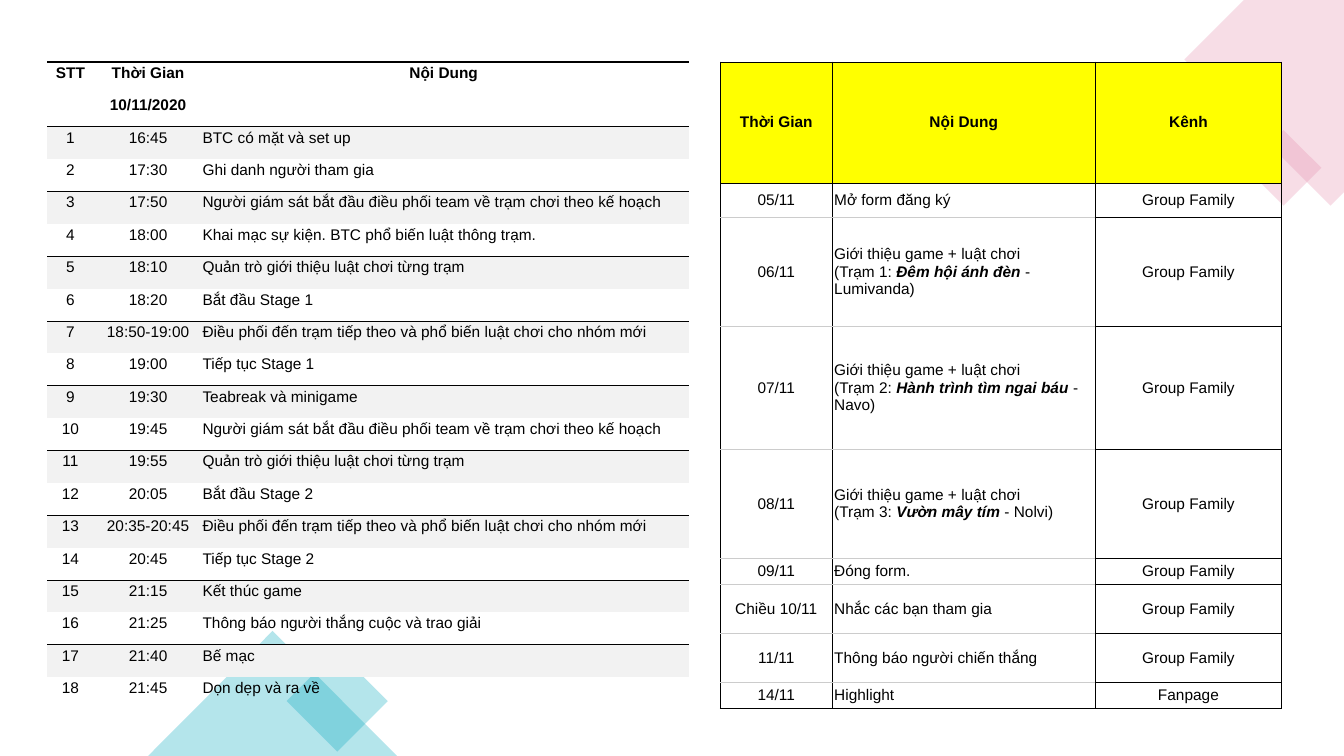
"""Build a slide with an event-day schedule beside a communication plan."""
from dataclasses import dataclass

from pptx import Presentation
from pptx.dml.color import RGBColor as Rgb
from pptx.enum import shapes, text
from pptx.oxml import ns, xmlchemy as xc
from pptx.util import Pt


@dataclass
class Theme:
    font: str = "Arial"
    size: float = 11
    ink: str = "000000"
    rule: str = "CCCCCC"
    band: str = "F2F2F2"
    head: str = "FFFF00"
    pink: str = "E58FAE"
    teal: str = "09A9BF"
    alpha: int = 30
    plain: str = "{2D5ABB26-0587-4C30-8999-92F81FD0307C}"


theme = Theme()
align = text.PP_ALIGN


def write(cell, words, side, pad, bold):
    """Fill a cell with text; words between asterisks are bold italic."""
    cell.vertical_anchor = text.MSO_ANCHOR.MIDDLE
    cell.margin_left, cell.margin_top, cell.margin_right, cell.margin_bottom = map(Pt, pad)
    for n, line in enumerate(words.split("\n")):
        par = cell.text_frame.add_paragraph() if n else cell.text_frame.paragraphs[0]
        par.alignment = side
        par.font.name, par.font.size, par.font.bold = theme.font, Pt(theme.size), bold
        par.font.color.rgb = Rgb.from_string(theme.ink)
        if not line:
            par._p.get_or_add_endParaRPr().set("sz", str(theme.size * 100))
            continue
        for k, part in enumerate(line.split("*")):
            run = par.add_run()
            run.text = part
            if k % 2:
                run.font.bold = run.font.italic = True


def edge(cell, sides, color, width):
    """Draw the named sides (L, R, T, B) of a cell, or clear them at zero width."""
    for side in sides:
        line = xc.OxmlElement(f"a:ln{side}")
        line.set("w", str(Pt(width)))
        fill = xc.OxmlElement("a:solidFill" if width else "a:noFill")
        if width:
            tint = xc.OxmlElement("a:srgbClr")
            tint.set("val", color)
            fill.append(tint)
        line.append(fill)
        cell._tc.get_or_add_tcPr().append(line)


deck = Presentation()
deck.slide_width, deck.slide_height = Pt(960), Pt(540)
slide = deck.slides.add_slide(deck.slide_layouts[6])

points = [(888.5, 0), (846, 42.5), (950.4, 146.9), (960, 137.3), (960, 0)]
first, *rest = [(Pt(x), Pt(y)) for x, y in points]
pen = slide.shapes.build_freeform(*first)
pen.add_line_segments(rest)
decor = [(pen.convert_to_shape(), theme.pink)]

kind = shapes.MSO_SHAPE
for form, box, turn, color in [
    (kind.RECTANGLE, (897.8, 100.8, 38.2, 38.2), 315, theme.pink),
    (kind.RECTANGLE, (215.3, 475.2, 51.1, 51.1), 45, theme.teal),
    (kind.ISOSCELES_TRIANGLE, (105.8, 450.7, 177.8, 89.3), 0, theme.teal),
]:
    shape = slide.shapes.add_shape(form, *map(Pt, box))
    shape.rotation = turn
    decor.append((shape, color))

for shape, color in decor:
    shape.shadow.inherit = False
    shape.line.fill.background()
    shape.fill.solid()
    shape.fill.fore_color.rgb = Rgb.from_string(color)
    for tint in shape._element.spPr.iter(ns.qn("a:srgbClr")):
        alpha = xc.OxmlElement("a:alpha")
        alpha.set("val", str(theme.alpha * 1000))
        tint.append(alpha)

guide = "Người giám sát bắt đầu điều phối team về trạm chơi theo kế hoạch"
rules = "Quản trò giới thiệu luật chơi từng trạm"
swap = "Điều phối đến trạm tiếp theo và phổ biến luật chơi cho nhóm mới"
steps = [
    ("16:45", "BTC có mặt và set up"),
    ("17:30", "Ghi danh người tham gia"),
    ("17:50", guide),
    ("18:00", "Khai mạc sự kiện. BTC phổ biến luật thông trạm."),
    ("18:10", rules),
    ("18:20", "Bắt đầu Stage 1"),
    ("18:50-19:00", swap),
    ("19:00", "Tiếp tục Stage 1"),
    ("19:30", "Teabreak và minigame"),
    ("19:45", guide),
    ("19:55", rules),
    ("20:05", "Bắt đầu Stage 2"),
    ("20:35-20:45", swap),
    ("20:45", "Tiếp tục Stage 2"),
    ("21:15", "Kết thúc game"),
    ("21:25", "Thông báo người thắng cuộc và trao giải"),
    ("21:40", "Bế mạc"),
    ("21:45", "Dọn dẹp và ra về"),
]
agenda = [("STT", "Thời Gian", "Nội Dung"), ("", "10/11/2020", "")]
agenda += [(str(n), *step) for n, step in enumerate(steps, 1)]

intro = "Giới thiệu game + luật chơi\n"
group = "Group Family"
plan = [
    ("Thời Gian", "Nội Dung", "Kênh"),
    ("05/11", "Mở form đăng ký", group),
    ("06/11", intro + "(Trạm 1: *Đêm hội ánh đèn* - Lumivanda)", group),
    ("07/11", intro + "(Trạm 2: *Hành trình tìm ngai báu* - Navo)", group),
    ("08/11", intro + "(Trạm 3: *Vườn mây tím* - Nolvi)", group),
    ("09/11", "Đóng form.", group),
    ("Chiều 10/11", "Nhắc các bạn tham gia", group),
    ("11/11", "Thông báo người chiến thắng", group),
    ("14/11", "Highlight", "Fanpage"),
]

grids = []
for rows, left, wide, high in [
    (agenda, 33.8, (36, 74.9, 347.5), [23.15] * len(agenda)),
    (plan, 514.6, (79.9, 187.9, 133.2), (86.6, 24.3, 77.9, 87.9, 77.9, 18.6, 35, 35, 18.6)),
]:
    frame = slide.shapes.add_table(
        len(rows), 3, Pt(left), Pt(44.2), Pt(sum(wide)), Pt(sum(high)))
    grid = frame.table
    grid.first_row = grid.horz_banding = False
    grid._tbl.tblPr.find(ns.qn("a:tableStyleId")).text = theme.plain
    for col, width in zip(grid.columns, wide):
        col.width = Pt(width)
    for row, height in zip(grid.rows, high):
        row.height = Pt(height)
    grids.append(grid)
day, media = grids

for r, row in enumerate(agenda):
    band = r > 1 and r % 2 == 0
    for c, words in enumerate(row):
        cell = day.cell(r, c)
        side = align.JUSTIFY if r > 1 and c == 2 else align.CENTER
        write(cell, words, side, (0, 1.4, 2.9, 8.6), r < 2)
        edge(cell, "LR", theme.ink, 0)
        edge(cell, "T", theme.ink, 2.25 if r == 0 else 0.5 if band else 0)
        edge(cell, "B", theme.ink, 0.5 if r % 2 and r < len(agenda) - 1 else 0)
        if band:
            cell.fill.solid()
            cell.fill.fore_color.rgb = Rgb.from_string(theme.band)
        else:
            cell.fill.background()

last = len(plan) - 1
for r, row in enumerate(plan):
    for c, words in enumerate(row):
        cell = media.cell(r, c)
        side = align.LEFT if r and c == 1 else align.CENTER
        pad = (2.9, 2.2, 2.9, 2.2) if r == 0 or c == 2 else (1.4, 1.8, 1.4, 1.8)
        write(cell, words, side, pad, r == 0)
        if c == 2:
            edge(cell, "LRTB", theme.ink, 0.4)
        elif r == 0:
            edge(cell, "LRT", theme.ink, 0.4)
            edge(cell, "B", theme.ink, 0.7)
        else:
            edge(cell, "L", theme.ink, 0.7)
            edge(cell, "R", theme.ink, 0.4 if c else 0.7)
            edge(cell, "T", theme.ink if r == 1 else theme.rule, 0.7)
            edge(cell, "B", theme.ink if r == last else theme.rule, 0.7)
        if r == 0:
            cell.fill.solid()
            cell.fill.fore_color.rgb = Rgb.from_string(theme.head)
        else:
            cell.fill.background()

deck.save("out.pptx")
